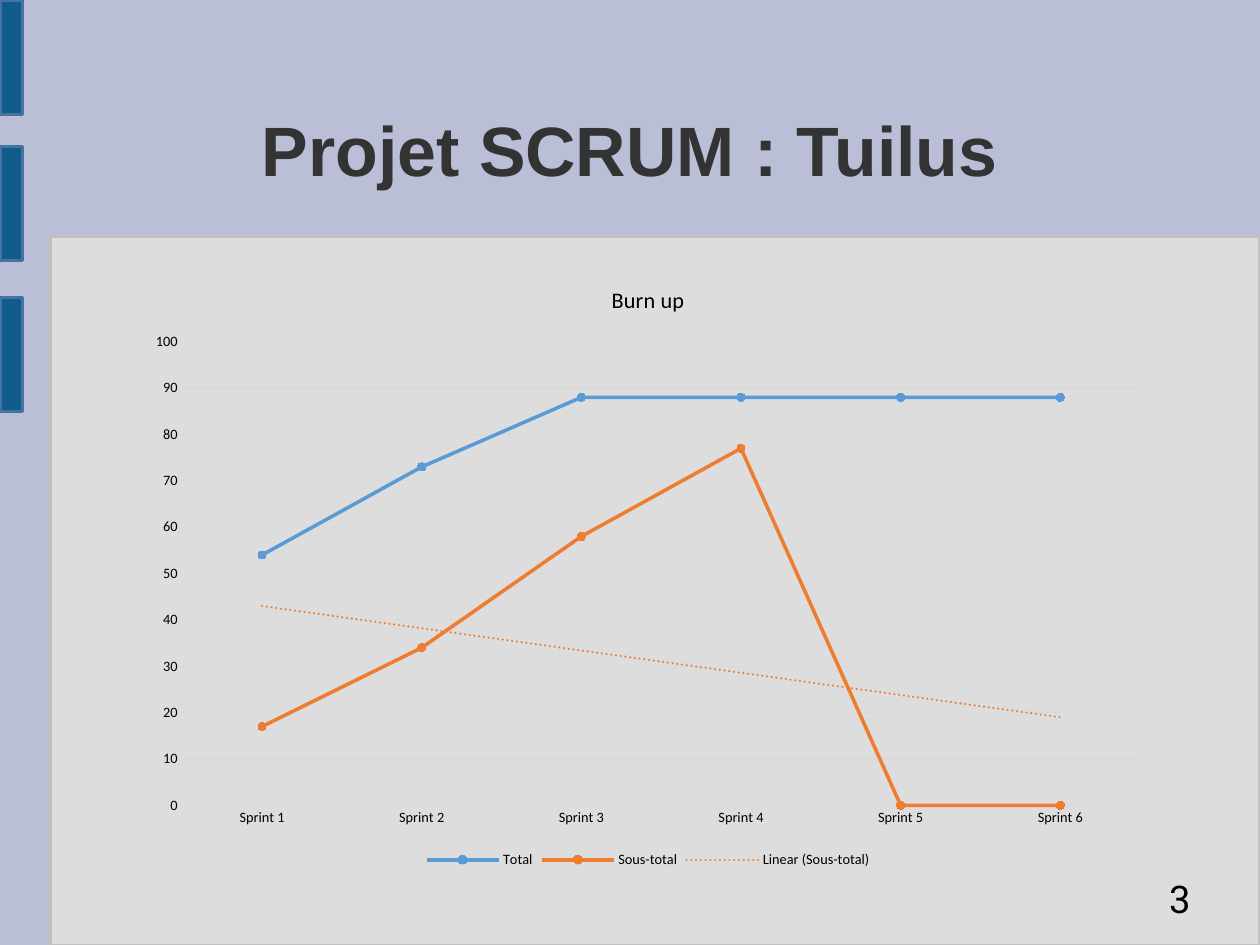
from typing import NamedTuple

from lxml import etree
from pptx import Presentation
from pptx.chart.data import CategoryChartData
from pptx.dml.color import RGBColor
from pptx.enum.chart import (XL_CHART_TYPE, XL_LEGEND_POSITION,
                             XL_MARKER_STYLE, XL_TICK_MARK)
from pptx.enum.shapes import MSO_SHAPE
from pptx.enum.text import MSO_ANCHOR, PP_ALIGN
from pptx.oxml import parse_xml
from pptx.oxml.ns import nsdecls, qn
from pptx.util import Inches, Pt

RECT = MSO_SHAPE.RECTANGLE
LINE = XL_CHART_TYPE.LINE_MARKERS
BOTTOM = XL_LEGEND_POSITION.BOTTOM
CIRCLE = XL_MARKER_STYLE.CIRCLE
NO_TICK = XL_TICK_MARK.NONE
LEFT, CENTER = PP_ALIGN.LEFT, PP_ALIGN.CENTER
TOP, MIDDLE = MSO_ANCHOR.TOP, MSO_ANCHOR.MIDDLE
CM = 1 / 2.54  # the page is 28 by 21 cm
GRID = "D9D9D9"
ORANGE = "ED7D31"


class Box(NamedTuple):
    left: float
    top: float
    width: float
    height: float


class Panel(NamedTuple):
    box: Box
    fill: str
    edge: str


class Series(NamedTuple):
    name: str
    values: list[int]
    color: str


PANELS = [Panel(Box(0.44, 2.07, 10.58, 6.2), "DDDDDD", "C0C0C0")] + [
    Panel(Box(0, top, 0.2, 1), "125C8D", "43739E") for top in (0, 2.6, 1.28)]
SPRINTS = [f"Sprint {n}" for n in range(1, 7)]
SERIES = [Series("Total", [54, 73, 88, 88, 88, 88], "5B9BD5"),
          Series("Sous-total", [17, 34, 58, 77, 0, 0], ORANGE)]


def rgb(color: str) -> RGBColor:
    return RGBColor.from_string(color)


def inches(box: Box) -> list[Inches]:
    return [Inches(side) for side in box]


def paint(fill, color: str) -> None:
    fill.solid()
    fill.fore_color.rgb = rgb(color)


def stroke(line, color: str, width: float) -> None:
    paint(line.fill, color)
    line.width = Pt(width)


def style(font, size: float, color: str = "000000", face: str = "Calibri",
          bold: bool = False) -> None:
    font.size, font.name, font.bold = Pt(size), face, bold
    font.color.rgb = rgb(color)


def add_text(slide, box: Box, text: str, *, size: float, color: str,
             face: str, bold: bool = False, align=LEFT, anchor=TOP,
             wrap: bool = True) -> None:
    frame = slide.shapes.add_textbox(*inches(box)).text_frame
    frame.margin_left = frame.margin_right = 0
    frame.margin_top = frame.margin_bottom = 0
    frame.word_wrap = wrap
    frame.vertical_anchor = anchor
    para = frame.paragraphs[0]
    para.alignment = align
    run = para.add_run()
    run.text = text
    style(run.font, size, color, face, bold)


def add_panel(slide, panel: Panel) -> None:
    shape = slide.shapes.add_shape(RECT, *inches(panel.box))
    shape.shadow.inherit = False
    paint(shape.fill, panel.fill)
    stroke(shape.line, panel.edge, 2)


def outline(color: str, width: float, dash: str = "solid") -> str:
    return (f'<c:spPr><a:ln w="{Pt(width)}" cap="rnd"><a:solidFill>'
            f'<a:srgbClr val="{color}"/></a:solidFill>'
            f'<a:prstDash val="{dash}"/></a:ln></c:spPr>')


def add_trend(curve, name: str, color: str) -> None:
    trend = parse_xml(
        f'<c:trendline {nsdecls("c", "a")}><c:name>{name}</c:name>'
        f'{outline(color, 1.5, "sysDot")}<c:trendlineType val="linear"/>'
        '<c:dispRSqr val="0"/><c:dispEq val="0"/></c:trendline>')
    curve._element.find(qn("c:cat")).addprevious(trend)


def add_border(chart, color: str) -> None:
    """Frame the chart area, leaving it unfilled."""
    wrap = parse_xml(f'<c:chartSpace {nsdecls("c", "a")}>'
                     f'{outline(color, 0.75)}</c:chartSpace>')
    props = wrap[0]
    props.insert(0, etree.Element(qn("a:noFill")))
    chart._chartSpace.find(qn("c:chart")).addnext(props)


def add_burnup(slide, box: Box) -> None:
    data = CategoryChartData()
    data.categories = SPRINTS
    for item in SERIES:
        data.add_series(item.name, item.values)
    chart = slide.shapes.add_chart(LINE, *inches(box), data).chart
    style(chart.font, 10)
    add_border(chart, GRID)

    chart.has_title = True
    chart.chart_title.include_in_layout = False
    title = chart.chart_title.text_frame
    title.text = "Burn up"
    style(title.paragraphs[0].runs[0].font, 14)

    chart.has_legend = True
    chart.legend.position = BOTTOM
    chart.legend.include_in_layout = False
    style(chart.legend.font, 9)

    sprints, points = chart.category_axis, chart.value_axis
    for axis in (sprints, points):
        axis.major_tick_mark = axis.minor_tick_mark = NO_TICK
        style(axis.tick_labels.font, 9)
    stroke(sprints.format.line, GRID, 0.75)
    points.format.line.fill.background()
    points.minimum_scale, points.maximum_scale = 0, 100
    points.major_unit = 10
    stroke(points.major_gridlines.format.line, GRID, 0.75)

    plot = chart.plots[0]
    plot.vary_by_categories = False
    for item, curve in zip(SERIES, plot.series):
        curve.smooth = False
        stroke(curve.format.line, item.color, 2.25)
        curve.marker.style, curve.marker.size = CIRCLE, 5
        paint(curve.marker.format.fill, item.color)
        stroke(curve.marker.format.line, item.color, 0.75)
    add_trend(plot.series[1], "Linear (Sous-total)", ORANGE)


def main() -> None:
    deck = Presentation()
    deck.slide_width, deck.slide_height = Inches(28 * CM), Inches(21 * CM)
    slide = deck.slides.add_slide(deck.slide_layouts[6])
    paint(slide.background.fill, "BABED6")
    for panel in PANELS:
        add_panel(slide, panel)
    add_text(slide, Box(0.81, 0.61, 9.41, 1.38), "Projet SCRUM : Tuilus",
             size=44, color="333333", face="Arial", bold=True,
             align=CENTER, anchor=MIDDLE)
    add_burnup(slide, Box(1.18, 2.29, 8.98, 5.35))
    add_text(slide, Box(10.23, 7.66, 0.17, 0.38), "3", size=24,
             color="000000", face="Roboto", wrap=False)
    deck.save("out.pptx")


if __name__ == "__main__":
    main()
